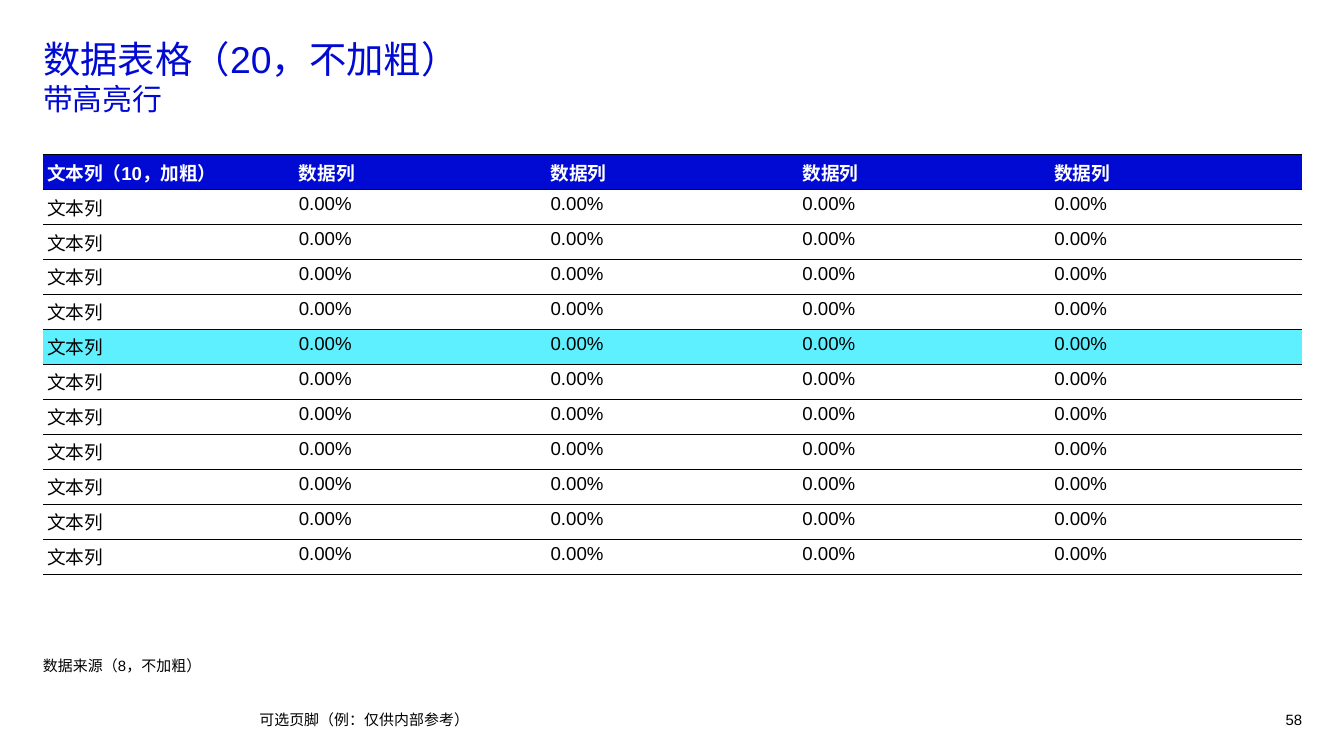
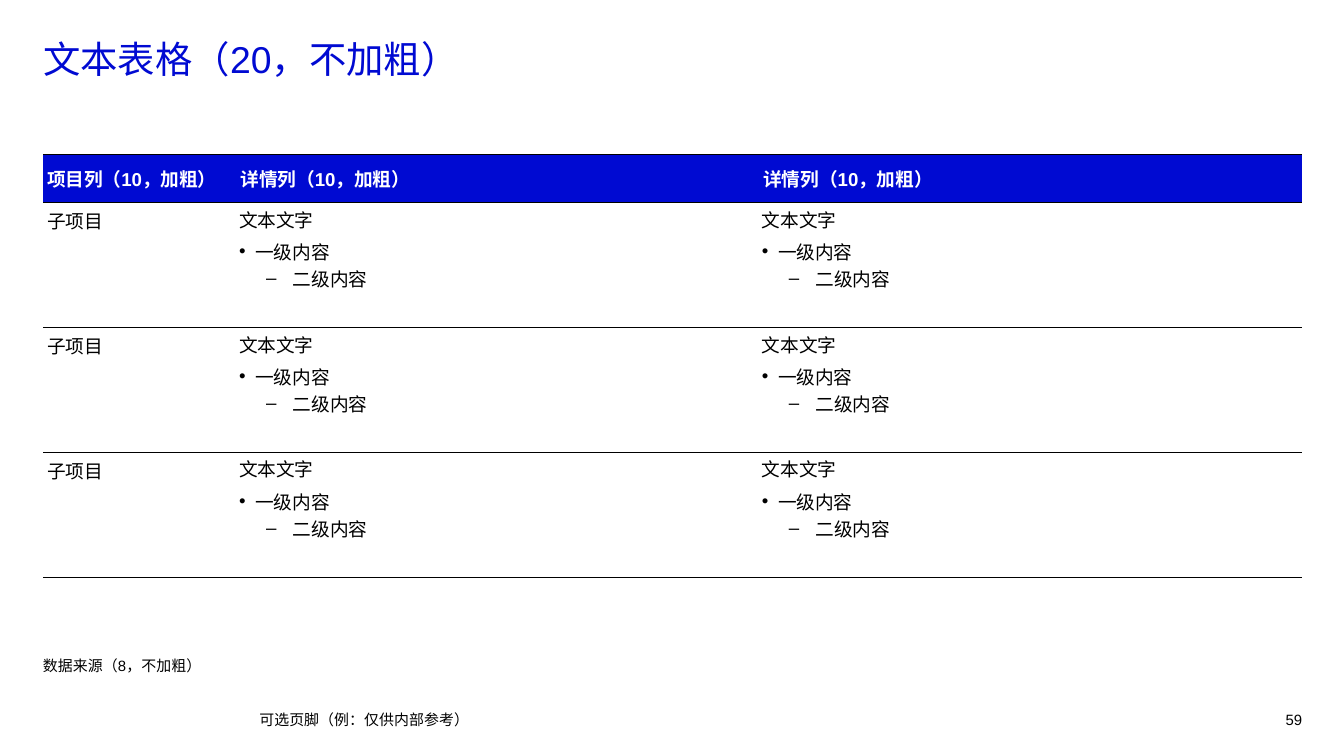
from dataclasses import dataclass
from typing import Any

from lxml.etree import SubElement
from pptx import Presentation
from pptx.dml.color import RGBColor
from pptx.enum.text import MSO_ANCHOR, MSO_AUTO_SIZE, PP_ALIGN
from pptx.oxml.ns import qn
from pptx.util import Inches, Pt

FONT = "Arial"
BLUE, CYAN, BLACK, WHITE = "000AD2", "5FF0FF", "000000", "FFFFFF"
PAGE_WIDTH = Inches(10)
PAGE_HEIGHT = PAGE_WIDTH * 9 // 16
LEFT, CONTENT_WIDTH = 0.32, 9.37
TABLE_TOP = 1.15
FOOTER_TOP, FOOTER_HEIGHT = 5.28, 0.15
HEADER_INSET, DETAIL_INSET = 0.03, 0.02


@dataclass(frozen=True)
class Line:
    """One paragraph; hang is the width kept for its bullet."""
    text: str
    bullet: str = ""
    indent: float = 0
    hang: float = 0
    before: float = 0


@dataclass(frozen=True)
class Cell:
    lines: tuple[Line, ...]
    inset: float = HEADER_INSET


@dataclass(frozen=True)
class Grid:
    widths: list[float]
    heights: list[float]
    rows: list[list[Cell]]
    header_anchor: MSO_ANCHOR
    highlight: int | None = None


@dataclass(frozen=True)
class TextArea:
    text: str
    left: float
    top: float
    width: float
    height: float
    anchor: MSO_ANCHOR = MSO_ANCHOR.MIDDLE
    align: PP_ALIGN = PP_ALIGN.LEFT
    line_spacing: float = 1.0


@dataclass(frozen=True)
class TablePage:
    number: int
    title: str
    subtitle: str
    grid: Grid


def rgb(color: str) -> RGBColor:
    return RGBColor.from_string(color)


def apply(target: Any, values: dict[str, Any]) -> None:
    for name, value in values.items():
        setattr(target, name, value)


def style_font(font: Any, size: float, color: str, bold: bool = False) -> None:
    apply(font, {"name": FONT, "size": Pt(size), "bold": bold})
    font.color.rgb = rgb(color)


def margins(inset: float) -> dict[str, Any]:
    return {f"margin_{side}": Inches(inset)
            for side in ("left", "top", "right", "bottom")}


def set_frame(frame: Any, anchor: MSO_ANCHOR) -> None:
    apply(frame, {"word_wrap": True, "auto_size": MSO_AUTO_SIZE.NONE,
                  "vertical_anchor": anchor, **margins(0)})


def add_title(page: Any, title: str, subtitle: str) -> None:
    box = page.shapes.title
    apply(box, {"left": Inches(LEFT), "top": Inches(0.27),
                "width": Inches(CONTENT_WIDTH), "height": Inches(0.72)})
    set_frame(box.text_frame, MSO_ANCHOR.TOP)
    para = box.text_frame.paragraphs[0]
    para.alignment = PP_ALIGN.LEFT
    for index, (text, size) in enumerate(((title, 20), (subtitle, 16))):
        if not text:
            continue
        if index:
            para.add_line_break()
        span = para.add_run()
        span.text = text
        style_font(span.font, size, BLUE)


def add_small_text(page: Any, area: TextArea) -> None:
    box = page.shapes.add_textbox(Inches(area.left), Inches(area.top),
                                  Inches(area.width), Inches(area.height))
    set_frame(box.text_frame, area.anchor)
    para = box.text_frame.paragraphs[0]
    apply(para, {"alignment": area.align, "line_spacing": area.line_spacing})
    span = para.add_run()
    span.text = area.text
    style_font(span.font, 8, BLACK)


def set_borders(cell: Any, top: float, bottom: float) -> None:
    """Draw the horizontal rules and leave the sides open."""
    properties = cell._tc.get_or_add_tcPr()
    for side, width in (("L", 0), ("R", 0), ("T", top), ("B", bottom)):
        rule = SubElement(properties, qn(f"a:ln{side}"), w=str(Pt(width)))
        if width:
            fill = SubElement(rule, qn("a:solidFill"))
            SubElement(fill, qn("a:srgbClr"), val=BLACK)
        else:
            SubElement(rule, qn("a:noFill"))


def add_bullet(para: Any, line: Line) -> None:
    properties = para._p.get_or_add_pPr()
    properties.set("marL", str(Inches(line.indent)))
    properties.set("indent", str(-Inches(line.hang)))
    SubElement(properties, qn("a:buFont"), typeface=FONT)
    SubElement(properties, qn("a:buChar"), char=line.bullet)


def fill_cell(cell: Any, content: Cell, background: str, header: bool,
              anchor: MSO_ANCHOR) -> None:
    set_borders(cell, 0.75 if header else 0.5, 0.5)
    cell.fill.solid()
    cell.fill.fore_color.rgb = rgb(background)
    apply(cell, {"vertical_anchor": anchor, **margins(content.inset)})
    frame = cell.text_frame
    for index, line in enumerate(content.lines):
        para = frame.add_paragraph() if index else frame.paragraphs[0]
        if line.bullet:
            add_bullet(para, line)
        if line.before:
            para.space_before = Pt(line.before)
        span = para.add_run()
        span.text = line.text
        style_font(span.font, 10, WHITE if header else BLACK, header)


def add_grid(page: Any, grid: Grid) -> None:
    table = page.shapes.add_table(
        len(grid.rows), len(grid.widths), Inches(LEFT), Inches(TABLE_TOP),
        Inches(CONTENT_WIDTH), Inches(sum(grid.heights))).table
    apply(table, {"first_row": False, "horz_banding": False})
    for column, width in zip(table.columns, grid.widths):
        column.width = Inches(width)
    for index, (row, height) in enumerate(zip(table.rows, grid.heights)):
        row.height = Inches(height)
        header = index == 0
        background = (BLUE if header
                      else CYAN if index == grid.highlight else WHITE)
        anchor = grid.header_anchor if header else MSO_ANCHOR.TOP
        for cell, content in zip(row.cells, grid.rows[index]):
            fill_cell(cell, content, background, header, anchor)


def text_row(*texts: str) -> list[Cell]:
    return [Cell((Line(text),)) for text in texts]


def add_page(deck: Any, content: TablePage) -> None:
    page = deck.slides.add_slide(deck.slide_layouts[5])
    add_title(page, content.title, content.subtitle)
    add_grid(page, content.grid)
    areas = (
        TextArea("数据来源（8，不加粗）", LEFT, 4.49, CONTENT_WIDTH, 0.53,
                 anchor=MSO_ANCHOR.BOTTOM, line_spacing=1.1),
        TextArea("可选页脚（例：仅供内部参考）", 1.93, FOOTER_TOP, 6.46, FOOTER_HEIGHT),
        TextArea(str(content.number), 9.3, FOOTER_TOP, 0.39, FOOTER_HEIGHT,
                 align=PP_ALIGN.RIGHT),
    )
    for area in areas:
        add_small_text(page, area)


DATA_COLUMNS, DATA_ROWS = 4, 11
DATA_GRID = Grid(
    widths=[CONTENT_WIDTH / (DATA_COLUMNS + 1)] * (DATA_COLUMNS + 1),
    heights=[0.26] * (DATA_ROWS + 1),
    rows=[text_row("文本列（10，加粗）", *["数据列"] * DATA_COLUMNS),
          *[text_row("文本列", *["0.00%\t"] * DATA_COLUMNS)] * DATA_ROWS],
    header_anchor=MSO_ANCHOR.BOTTOM,
    highlight=5,
)

DETAIL = Cell((
    Line("文本文字"),
    Line("一级内容", bullet="•", indent=0.12, hang=0.12, before=3),
    Line("二级内容", bullet="–", indent=0.4, hang=0.2),
), DETAIL_INSET)
ITEM_ROWS = 3
TEXT_GRID = Grid(
    widths=[1.44, 3.89, 4.04],
    heights=[0.36] + [0.93] * ITEM_ROWS,
    rows=[text_row("项目列（10，加粗）", *["详情列（10，加粗）"] * 2),
          *[[*text_row("子项目"), DETAIL, DETAIL]] * ITEM_ROWS],
    header_anchor=MSO_ANCHOR.MIDDLE,
)

PAGES = (
    TablePage(58, "数据表格（20，不加粗）", "带高亮行", DATA_GRID),
    TablePage(59, "文本表格（20，不加粗）", "", TEXT_GRID),
)


def main() -> None:
    deck = Presentation()
    apply(deck, {"slide_width": PAGE_WIDTH, "slide_height": PAGE_HEIGHT})
    for content in PAGES:
        add_page(deck, content)
    deck.save("out.pptx")


if __name__ == "__main__":
    main()
